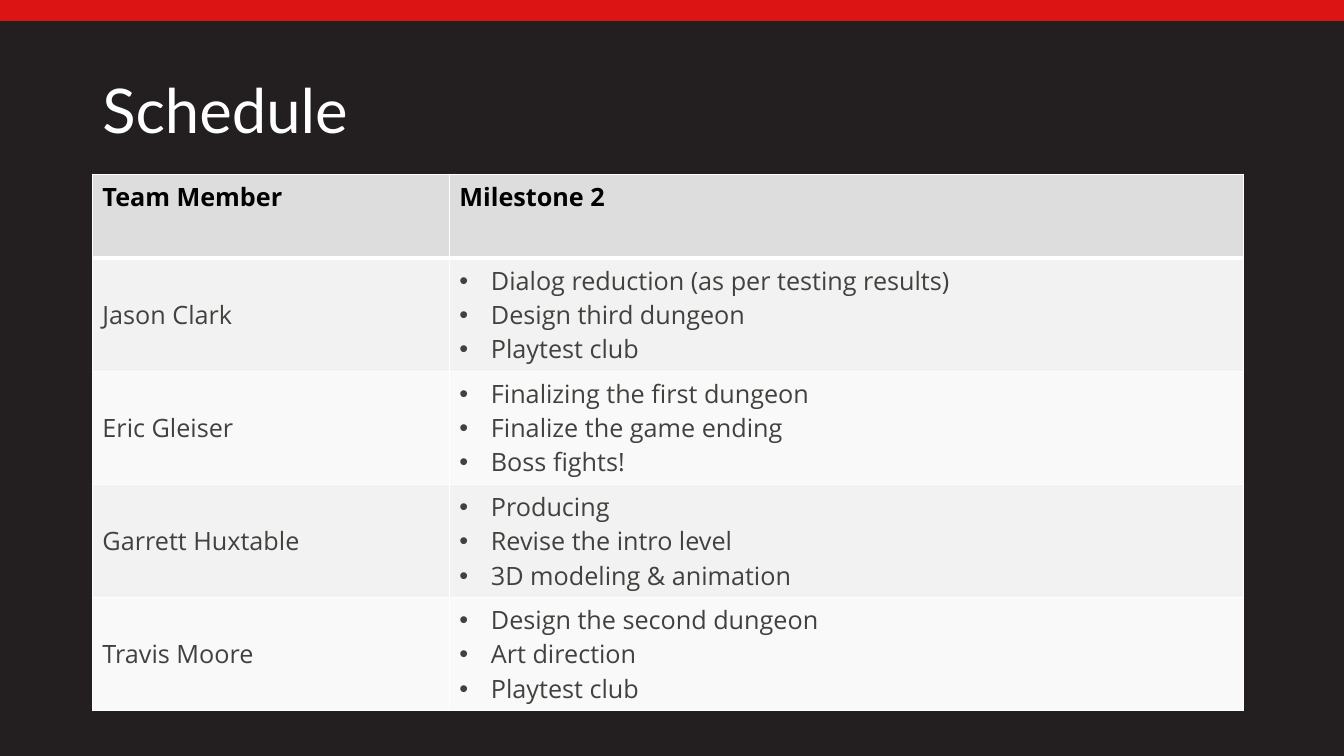
"""Build the team schedule slide for milestone 2."""
from dataclasses import dataclass

from lxml.etree import SubElement
from pptx import Presentation
from pptx.dml.color import RGBColor as RGB
from pptx.enum.shapes import MSO_SHAPE as Shape
from pptx.enum.text import MSO_ANCHOR as Anchor
from pptx.oxml.ns import qn
from pptx.util import Pt


@dataclass(frozen=True)
class Theme:
    background: str = "231F20"
    accent: str = "DC1414"
    white: str = "FFFFFF"
    heading: str = "000000"
    body: str = "42413E"
    header_fill: str = "DDDDDD"
    row_fills: tuple = ("F2F2F2", "F9F9F9")
    title_font: str = "Lato"
    body_font: str = "Open Sans"
    title_size: int = 44
    body_size: int = 18


theme = Theme()


def style_text(paragraph, font_name, size, color, bold=False):
    for run in paragraph.runs:
        run.font.name = font_name
        run.font.size = Pt(size)
        run.font.bold = bold
        run.font.color.rgb = RGB.from_string(color)


def add_borders(cell, top, bottom):
    properties = cell._tc.get_or_add_tcPr()
    for side, width in (("L", 1), ("R", 1), ("T", top), ("B", bottom)):
        line = SubElement(properties, qn(f"a:ln{side}"), w=str(Pt(width)))
        fill = SubElement(line, qn("a:solidFill"))
        SubElement(fill, qn("a:srgbClr"), val=theme.white)


header = ("Team Member", "Milestone 2")
assignments = (
    ("Jason Clark", ("Dialog reduction (as per testing results)",
                     "Design third dungeon", "Playtest club")),
    ("Eric Gleiser", ("Finalizing the first dungeon",
                      "Finalize the game ending", "Boss fights!")),
    ("Garrett Huxtable", ("Producing", "Revise the intro level",
                          "3D modeling & animation")),
    ("Travis Moore", ("Design the second dungeon", "Art direction",
                      "Playtest club")),
)
column_widths = (255, 567)
row_heights = (60,) + (80.8,) * len(assignments)
bullet_indent = Pt(22.5)

deck = Presentation()
deck.slide_width, deck.slide_height = Pt(960), Pt(540)
slide = deck.slides.add_slide(deck.slide_layouts[6])
slide.background.fill.solid()
slide.background.fill.fore_color.rgb = RGB.from_string(theme.background)

title = slide.shapes.add_textbox(Pt(66), Pt(28.75), Pt(828), Pt(104.4)).text_frame
title.word_wrap = True
title.vertical_anchor = Anchor.MIDDLE
title.text = "Schedule"
title.paragraphs[0].line_spacing = 0.9
style_text(title.paragraphs[0], theme.title_font, theme.title_size, theme.white)

schedule = slide.shapes.add_table(
    len(row_heights), len(column_widths), Pt(66), Pt(124.5),
    Pt(sum(column_widths)), Pt(sum(row_heights))).table
for column, width in zip(schedule.columns, column_widths):
    column.width = Pt(width)
for row, height in zip(schedule.rows, row_heights):
    row.height = Pt(height)

for column_index, heading in enumerate(header):
    schedule.cell(0, column_index).text_frame.text = heading
for row_index, (member, tasks) in enumerate(assignments, start=1):
    schedule.cell(row_index, 0).text_frame.text = member
    task_list = schedule.cell(row_index, 1).text_frame
    task_list.text = "\n".join(tasks)
    for task in task_list.paragraphs:
        bullet = task._p.get_or_add_pPr()
        bullet.set("marL", str(bullet_indent))
        bullet.set("indent", str(-bullet_indent))
        SubElement(bullet, qn("a:buFont"), typeface="Arial")
        SubElement(bullet, qn("a:buChar"), char="•")

for row_index, row in enumerate(schedule.rows):
    is_header = row_index == 0
    row_fill = theme.header_fill if is_header else theme.row_fills[(row_index - 1) % 2]
    for cell in row.cells:
        add_borders(cell, top=3 if row_index == 1 else 1, bottom=3 if is_header else 1)
        cell.fill.solid()
        cell.fill.fore_color.rgb = RGB.from_string(row_fill)
        cell.vertical_anchor = Anchor.TOP if is_header else Anchor.MIDDLE
        for paragraph in cell.text_frame.paragraphs:
            style_text(paragraph, theme.body_font, theme.body_size,
                       theme.heading if is_header else theme.body, bold=is_header)

top_band = slide.shapes.add_shape(Shape.RECTANGLE, 0, 0, deck.slide_width, Pt(15))
top_band.shadow.inherit = False
top_band.fill.solid()
top_band.fill.fore_color.rgb = RGB.from_string(theme.accent)
top_band.line.fill.background()

deck.save("out.pptx")
